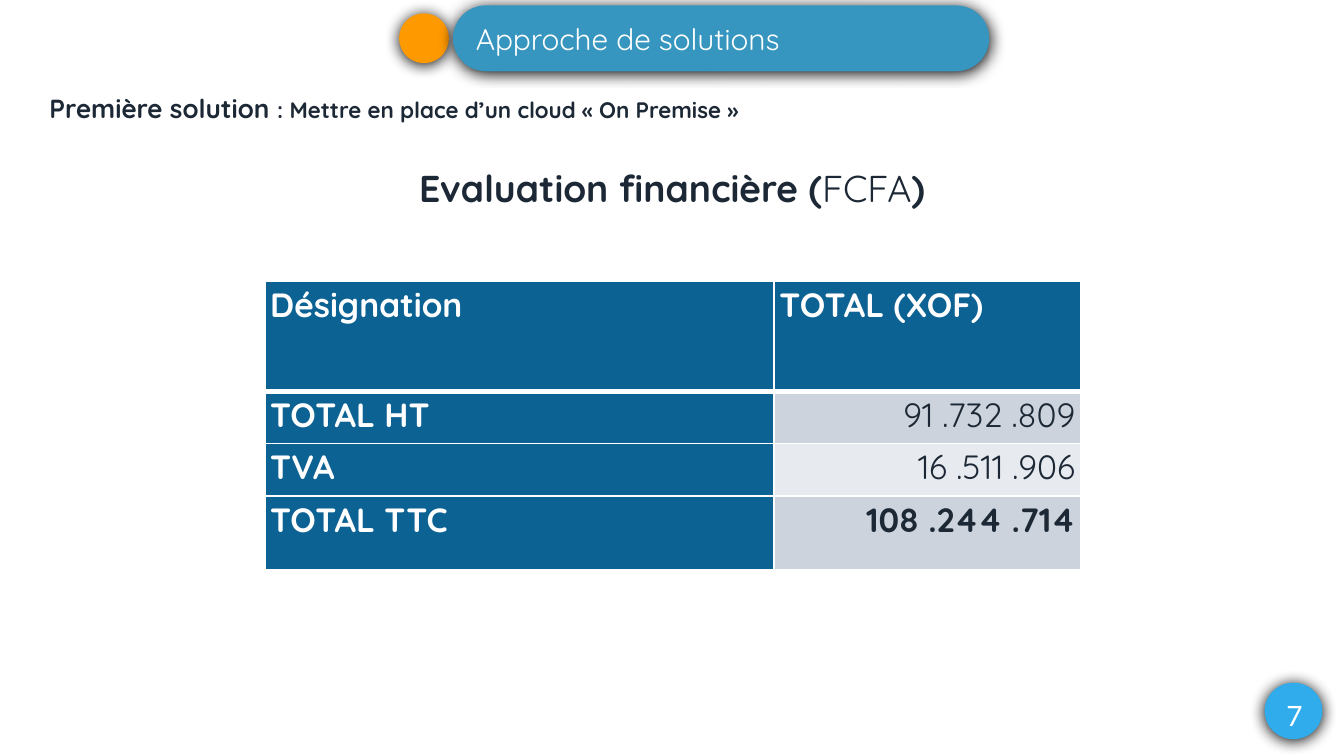
from lxml import etree
from pptx import Presentation
from pptx.dml.color import RGBColor
from pptx.enum.shapes import MSO_SHAPE as SHAPE
from pptx.enum.text import MSO_ANCHOR as ANCHOR, PP_ALIGN as ALIGN
from pptx.oxml import parse_xml
from pptx.oxml.ns import nsdecls, qn
from pptx.util import Inches, Pt

COLORS = {
    "white": "FFFFFF", "ink": "1C2835", "header": "0D6294",
    "band_dark": "CCD3DC", "band_light": "E7EAEE",
    "bar": "3796BF", "dot": "FF9900", "badge": "30ACEC", "shadow": "000000",
}
FONT = "Quicksand"
ROWS = [
    ("Désignation", "TOTAL (XOF)"),
    ("TOTAL HT", "91 .732 .809"),
    ("TVA", "16 .511 .906"),
    ("TOTAL TTC", "108 .244 .714"),
]
COL_WIDTHS = (3.79, 2.28)
ROW_HEIGHTS = (0.82, 0.39, 0.39, 0.55)


def rgb(name):
    return RGBColor.from_string(COLORS[name])


def add_run(paragraph, text, size, color="ink", bold=False, font=FONT):
    run = paragraph.add_run()
    run.text = text
    run.font.name = font
    run.font.size = Pt(size)
    run.font.bold = bold
    run.font.color.rgb = rgb(color)


def add_shadowed(slide, preset, box, color):
    shape = slide.shapes.add_shape(preset, *map(Inches, box))
    shape.fill.solid()
    shape.fill.fore_color.rgb = rgb(color)
    shape.line.fill.background()
    shape.shadow.inherit = False
    effects = shape._element.spPr.find(qn("a:effectLst"))
    effects.append(parse_xml(
        f'<a:outerShdw {nsdecls("a")} blurRad="{Pt(8.5)}" dist="{Pt(1)}" '
        f'dir="5400000" algn="ctr" rotWithShape="0">'
        f'<a:srgbClr val="{COLORS["shadow"]}"/></a:outerShdw>'))
    return shape


def add_line(slide, box, runs, align=ALIGN.LEFT):
    frame = slide.shapes.add_textbox(*map(Inches, box)).text_frame
    frame.word_wrap = True
    paragraph = frame.paragraphs[0]
    paragraph.alignment = align
    for text, size, bold in runs:
        add_run(paragraph, text, size, bold=bold)


def set_borders(cell, bottom=1, top=1):
    properties = cell._tc.get_or_add_tcPr()
    widths = {"lnL": 1, "lnR": 1, "lnT": top, "lnB": bottom}
    for index, (side, width) in enumerate(widths.items()):
        line = etree.Element(qn(f"a:{side}"), w=str(Pt(width)))
        fill = etree.SubElement(line, qn("a:solidFill"))
        etree.SubElement(fill, qn("a:srgbClr"), val=COLORS["white"])
        properties.insert(index, line)


def add_costs(slide):
    table = slide.shapes.add_table(
        len(ROWS), len(COL_WIDTHS), Inches(1.97), Inches(2.09),
        Inches(sum(COL_WIDTHS)), Inches(sum(ROW_HEIGHTS))).table
    for column, width in zip(table.columns, COL_WIDTHS):
        column.width = Inches(width)
    for r, (row, height) in enumerate(zip(ROWS, ROW_HEIGHTS)):
        table.rows[r].height = Inches(height)
        for c, text in enumerate(row):
            cell = table.cell(r, c)
            is_amount = r > 0 and c == 1
            band = "band_dark" if r % 2 else "band_light"
            cell.fill.solid()
            cell.fill.fore_color.rgb = rgb(band if is_amount else "header")
            set_borders(cell, bottom=3 if r == 0 else 1, top=3 if r == 1 else 1)
            cell.margin_left = cell.margin_right = Inches(0.04)
            cell.margin_top = cell.margin_bottom = 0
            paragraph = cell.text_frame.paragraphs[0]
            paragraph.line_spacing = 1.07
            paragraph.alignment = ALIGN.RIGHT if is_amount else ALIGN.LEFT
            add_run(paragraph, text, 18, "ink" if is_amount else "white",
                    bold=not is_amount or r == len(ROWS) - 1)


def add_title(slide, box, text):
    bar = add_shadowed(slide, SHAPE.ROUNDED_RECTANGLE, box, "bar")
    bar.adjustments[0] = 0.5
    title = slide.shapes.title
    title.left, title.top, title.width, title.height = map(Inches, box)
    # Bring the title in front of its bar
    bar._element.addnext(title._element)
    frame = title.text_frame
    frame.vertical_anchor = ANCHOR.MIDDLE
    # Clear the rounded end of the bar
    frame.margin_left = Inches(0.17)
    frame.paragraphs[0].alignment = ALIGN.LEFT
    add_run(frame.paragraphs[0], text, 16, "white")


def add_page_badge(slide, box, number):
    frame = add_shadowed(slide, SHAPE.OVAL, box, "badge").text_frame
    frame.vertical_anchor = ANCHOR.MIDDLE
    frame.margin_top = Inches(0.11)
    frame.paragraphs[0].alignment = ALIGN.CENTER
    add_run(frame.paragraphs[0], number, 15, "white", font="Lato")


def main():
    deck = Presentation()
    # Widescreen, 16:9
    deck.slide_width = Inches(10)
    deck.slide_height = deck.slide_width * 9 // 16
    slide = deck.slides.add_slide(deck.slide_layouts[5])

    # Heading
    add_shadowed(slide, SHAPE.OVAL, (2.97, 0.1, 0.37, 0.37), "dot")
    add_title(slide, (3.37, 0.04, 3.99, 0.49), "Approche de solutions")
    add_line(slide, (0.27, 0.64, 5.4, 0.34), [
        ("Première solution ", 14, True),
        (": Mettre en place d’un cloud « On Premise »", 12, True)])

    # Financial evaluation
    add_line(slide, (2.81, 1.18, 4.38, 0.44), [
        ("Evaluation financière (", 20, True), ("FCFA", 20, False),
        (")", 20, True)], ALIGN.CENTER)
    add_costs(slide)

    # Page number
    add_page_badge(slide, (9.41, 5.08, 0.43, 0.42), "7")
    deck.save("out.pptx")


if __name__ == "__main__":
    main()
